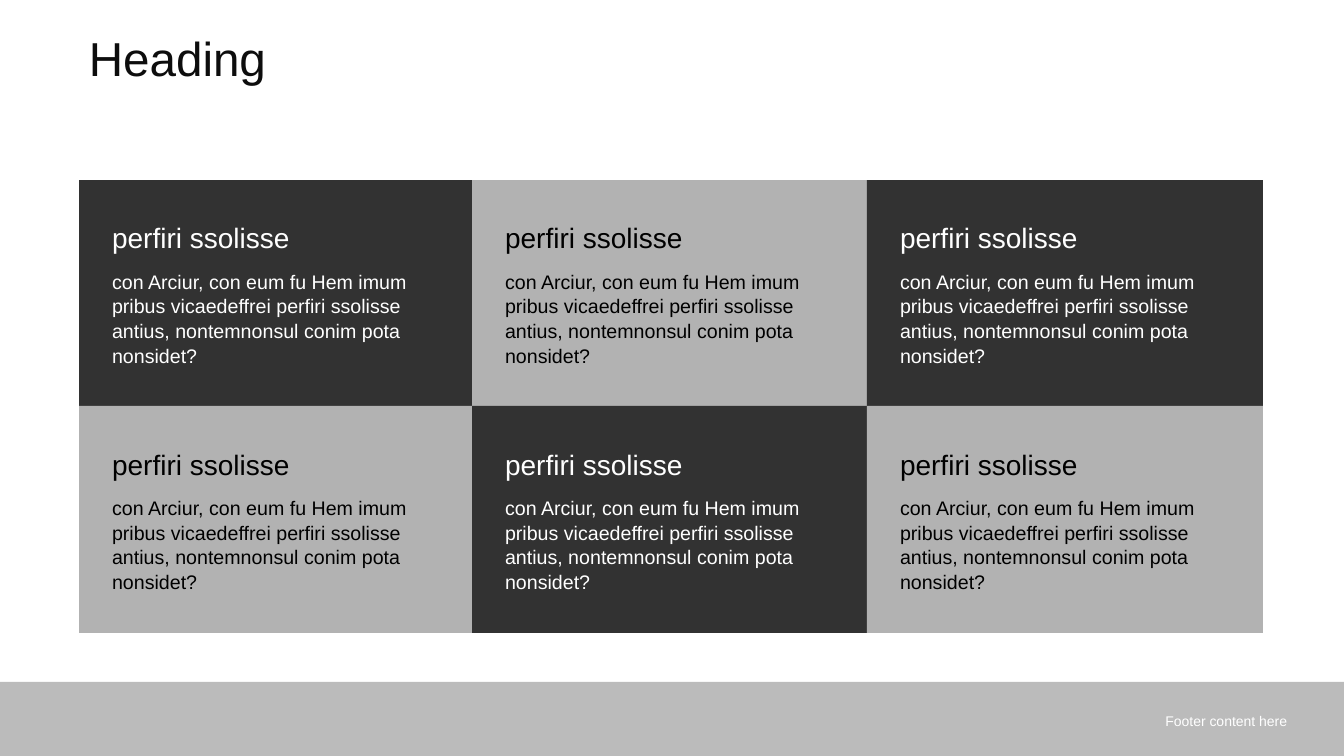
from copy import deepcopy
from itertools import pairwise

from lxml.etree import SubElement
from pptx import Presentation
from pptx.dml.color import RGBColor
from pptx.enum.shapes import MSO_SHAPE
from pptx.enum.text import MSO_ANCHOR, PP_ALIGN
from pptx.oxml.ns import qn
from pptx.util import Pt

PX = 914400 / 100.8  # EMU per pixel
THEME = {
    "font": "Arial",
    "ink": "0D0D0D", "dark": "323232", "light": "B2B2B2",
    "white": "FFFFFF", "black": "000000",
    "title": 34, "subhead": 20, "body": 14, "footer": 10,
}


def px(n):
    return round(n * PX)


def write(p, text, size, color, align=PP_ALIGN.LEFT, spacing=1.0, after=0):
    """Fill a paragraph; line feeds become line breaks of the same size."""
    p.text = text
    p.alignment = align
    p.line_spacing = spacing
    p.space_after = Pt(after)
    for r in p.runs:
        r.font.name = THEME["font"]
        r.font.size = Pt(THEME[size])
        r.font.color.rgb = RGBColor.from_string(THEME[color])
    for br in p._p.findall(qn("a:br")):
        br.insert(0, deepcopy(p.runs[0]._r.rPr))


prs = Presentation()
prs.slide_width, prs.slide_height = px(1344), px(756)
slide = prs.slides.add_slide(prs.slide_layouts[6])

# Footer band
band = slide.shapes.add_shape(MSO_SHAPE.RECTANGLE, 0, px(682), px(1344), px(74))
band.shadow.inherit = False
band.line.fill.background()
band.fill.solid()
band.fill.fore_color.rgb = RGBColor.from_string(THEME["ink"])
clr = band.fill._xPr.find(qn("a:solidFill")).find(qn("a:srgbClr"))
SubElement(clr, qn("a:alpha")).set("val", "28000")

# Title
title = slide.shapes.add_textbox(px(79), px(27), px(835), px(86))
tf = title.text_frame
tf.word_wrap = True
tf.margin_top = px(8)
write(tf.paragraphs[0], "Heading", "title", "ink", spacing=0.9)

# Checkerboard of text tiles
SUBHEAD = "perfiri ssolisse"
BODY = """con Arciur, con eum fu Hem imum
pribus vicaedeffrei perfiri ssolisse
antius, nontemnonsul conim pota
nonsidet?"""
col_edges = (79, 472, 867, 1263)
row_edges = (180, 406, 633)

for row, (top, bottom) in enumerate(pairwise(row_edges)):
    for col, (left, right) in enumerate(pairwise(col_edges)):
        fill, ink = (("dark", "white"), ("light", "black"))[(row + col) % 2]
        sp = slide.shapes.add_shape(MSO_SHAPE.RECTANGLE, px(left), px(top),
                                    px(right - left), px(bottom - top))
        sp.shadow.inherit = False
        sp.line.fill.background()
        sp.fill.solid()
        sp.fill.fore_color.rgb = RGBColor.from_string(THEME[fill])
        tf = sp.text_frame
        tf.word_wrap = True
        tf.vertical_anchor = MSO_ANCHOR.MIDDLE
        tf.margin_left, tf.margin_right = px(33), px(14)
        tf.margin_top = tf.margin_bottom = px(5)
        write(tf.paragraphs[0], SUBHEAD, "subhead", ink, spacing=1.05, after=10)
        write(tf.add_paragraph(), BODY, "body", ink, spacing=1.05, after=10)

# Footer text
footer = slide.shapes.add_textbox(px(681), px(701), px(616), px(40))
tf = footer.text_frame
tf.word_wrap = True
tf.vertical_anchor = MSO_ANCHOR.MIDDLE
write(tf.paragraphs[0], "Footer content here", "footer", "white", align=PP_ALIGN.RIGHT)

prs.save("out.pptx")
